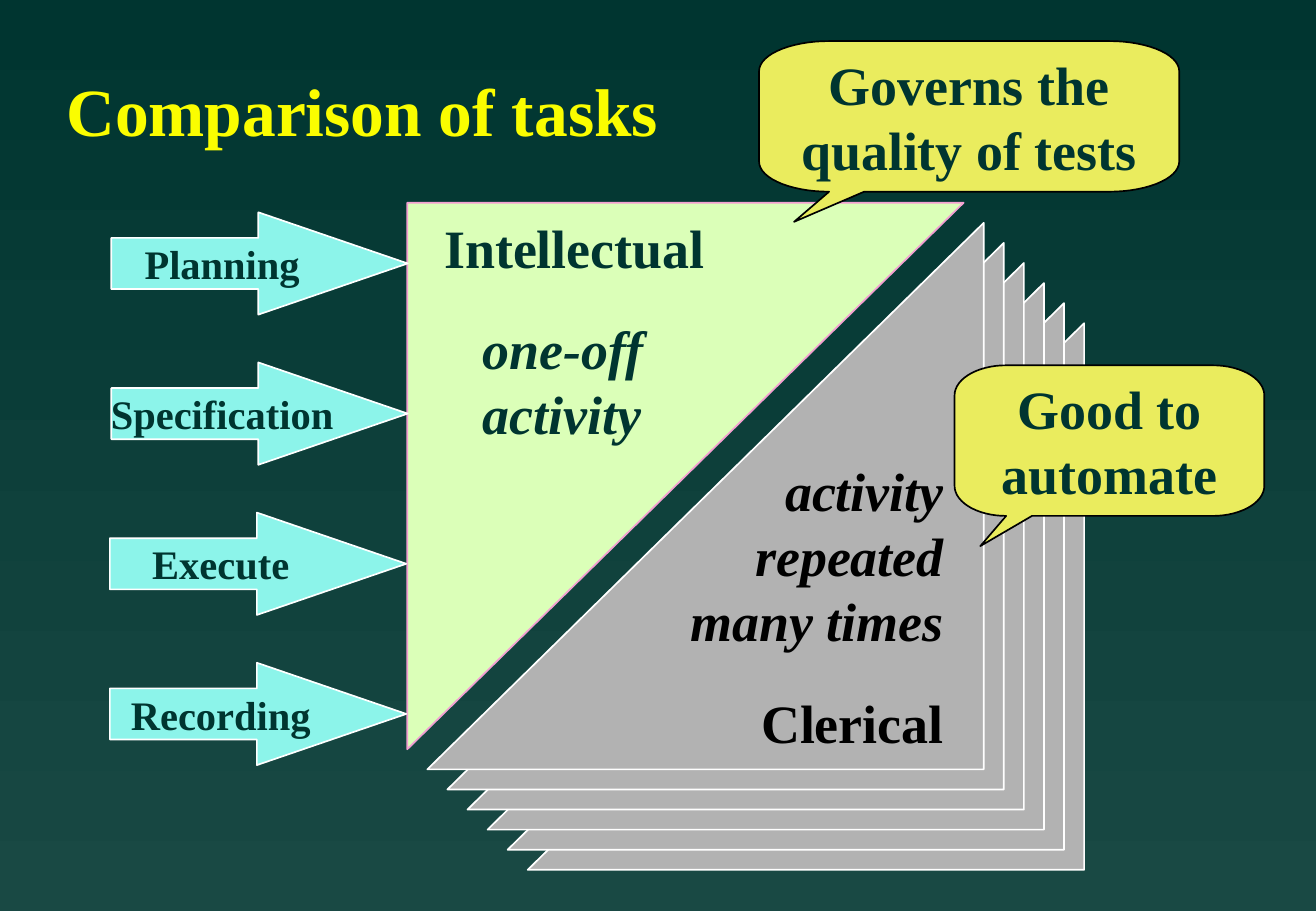
import math

import pptx
import pptx.dml.color
import pptx.enum.shapes
import pptx.enum.text
import pptx.util

Cm = pptx.util.Cm
Align = pptx.enum.text.PP_ALIGN
Anchor = pptx.enum.text.MSO_ANCHOR

theme = {
    "font": "Times New Roman",
    "title_size": 40,
    "body_size": 32,
    "arrow_size": 24,
    "background_top": "003530",
    "background_bottom": "194944",
    "title": "FAFD00",
    "dark": "003530",
    "black": "000000",
    "white": "FFFFFF",
    "intellectual": "DBFFB8",
    "intellectual_line": "F39FD1",
    "clerical": "B2B2B2",
    "callout": "EAEC5E",
    "arrow": "8CF4EA",
}


def write(shape, text, size=theme["body_size"], color="dark", italic=False,
          align=Align.LEFT, anchor=Anchor.TOP, wrap=True):
    frame = shape.text_frame
    frame.text = text
    frame.word_wrap = wrap
    frame.vertical_anchor = anchor
    for paragraph in frame.paragraphs:
        paragraph.alignment = align
        paragraph.font.name = theme["font"]
        paragraph.font.size = pptx.util.Pt(size)
        paragraph.font.bold = True
        paragraph.font.italic = italic
        paragraph.font.color.rgb = pptx.dml.color.RGBColor.from_string(theme[color])


def paint(shape, fill, line):
    shape.shadow.inherit = False
    shape.fill.solid()
    shape.fill.fore_color.rgb = pptx.dml.color.RGBColor.from_string(theme[fill])
    shape.line.color.rgb = pptx.dml.color.RGBColor.from_string(theme[line])
    shape.line.width = pptx.util.Pt(1)


presentation = pptx.Presentation()
presentation.slide_width = Cm(27.53)
presentation.slide_height = Cm(19.05)
slide = presentation.slides.add_slide(presentation.slide_layouts[6])
shapes = slide.shapes

background = slide.background.fill
background.gradient()
background.gradient_angle = 270
for stop, name in zip(background.gradient_stops, ("background_top", "background_bottom")):
    stop.color.rgb = pptx.dml.color.RGBColor.from_string(theme[name])

triangle_left, triangle_top = 8.52, 4.24
triangle_width, triangle_height = 11.64, 11.43
stack_step = 0.42
for layer in range(6, -1, -1):
    left = triangle_left + layer * stack_step
    top = triangle_top + layer * stack_step
    right, bottom = left + triangle_width, top + triangle_height
    corner = (right, bottom) if layer else (left, top)
    builder = shapes.build_freeform(Cm(right), Cm(top))
    builder.add_line_segments([(Cm(x), Cm(y)) for x, y in (corner, (left, bottom))])
    if layer:
        paint(builder.convert_to_shape(), "clerical", "white")
    else:
        paint(builder.convert_to_shape(), "intellectual", "intellectual_line")

labels = [
    ("Comparison of tasks", 1.14, 1.42, 14.5, 1.73,
     {"size": theme["title_size"], "color": "title", "anchor": Anchor.MIDDLE}),
    ("Intellectual", 9.04, 4.37, 7, 1.6, {}),
    ("one-off\nactivity", 9.85, 6.48, 5, 2.97, {"italic": True}),
    ("activity\nrepeated\nmany times", 13, 9.45, 7, 4.32,
     {"color": "black", "italic": True, "align": Align.RIGHT}),
    ("Clerical", 14, 14.3, 6, 1.6, {"color": "black", "align": Align.RIGHT}),
]
for text, left, top, width, height, text_format in labels:
    box = shapes.add_textbox(Cm(left), Cm(top), Cm(width), Cm(height))
    write(box, text, **text_format)

callout_height, tail_height, corner_height = 3.15, 0.63, 0.63
callouts = [
    ("Governs the\nquality of tests", 15.88, 0.86, 8.79),
    ("Good to\nautomate", 19.97, 7.64, 6.48),
]
for text, left, top, width in callouts:
    right, bottom = left + width, top + callout_height
    corner_width = width / 6
    corners = [
        (left + corner_width, bottom - corner_height, 90),
        (left + corner_width, top + corner_height, 180),
        (right - corner_width, top + corner_height, 270),
        (right - corner_width, bottom - corner_height, 0),
    ]
    points = []
    for center_x, center_y, start in corners:
        for degrees in range(start, start + 91, 6):
            angle = math.radians(degrees)
            points.append((center_x + corner_width * math.cos(angle),
                           center_y + corner_height * math.sin(angle)))
    points += [(left + width / 4, bottom), (left + width / 12, bottom + tail_height)]
    outline = [(Cm(x), Cm(y)) for x, y in points]
    builder = shapes.build_freeform(*outline[0])
    builder.add_line_segments(outline[1:])
    callout = builder.convert_to_shape()
    paint(callout, "callout", "black")
    write(callout, text, align=Align.CENTER, anchor=Anchor.MIDDLE, wrap=False)
    callout.text_frame.margin_bottom = Cm(tail_height + 0.13)

arrows = [("Planning", 2.33), ("Specification", 2.33), ("Execute", 2.3), ("Recording", 2.3)]
for row, (text, left) in enumerate(arrows):
    arrow = shapes.add_shape(pptx.enum.shapes.MSO_SHAPE.RIGHT_ARROW,
                             Cm(left), Cm(4.44 + row * 3.14), Cm(6.2), Cm(2.14))
    arrow.adjustments[0] = 0.5
    arrow.adjustments[1] = 1.46
    paint(arrow, "arrow", "white")
    write(arrow, text, size=theme["arrow_size"], align=Align.CENTER,
          anchor=Anchor.MIDDLE, wrap=False)

presentation.save("out.pptx")
